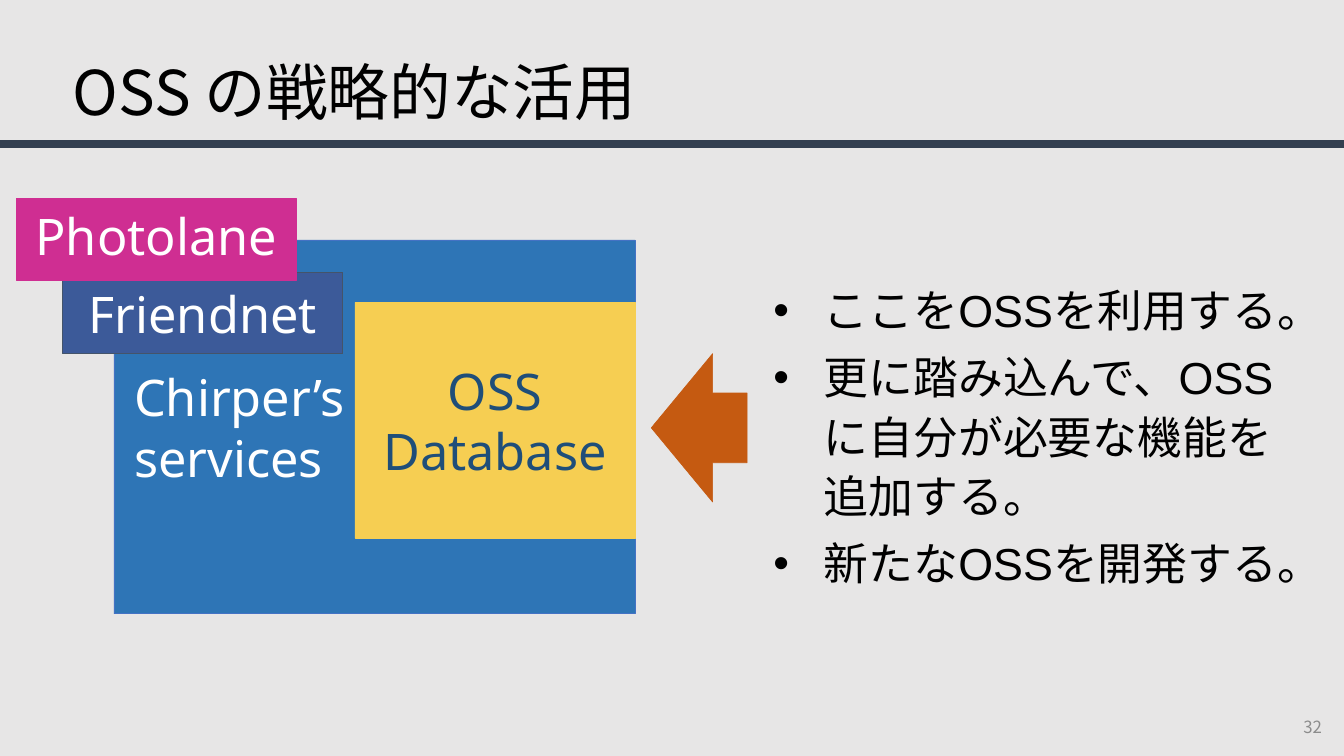
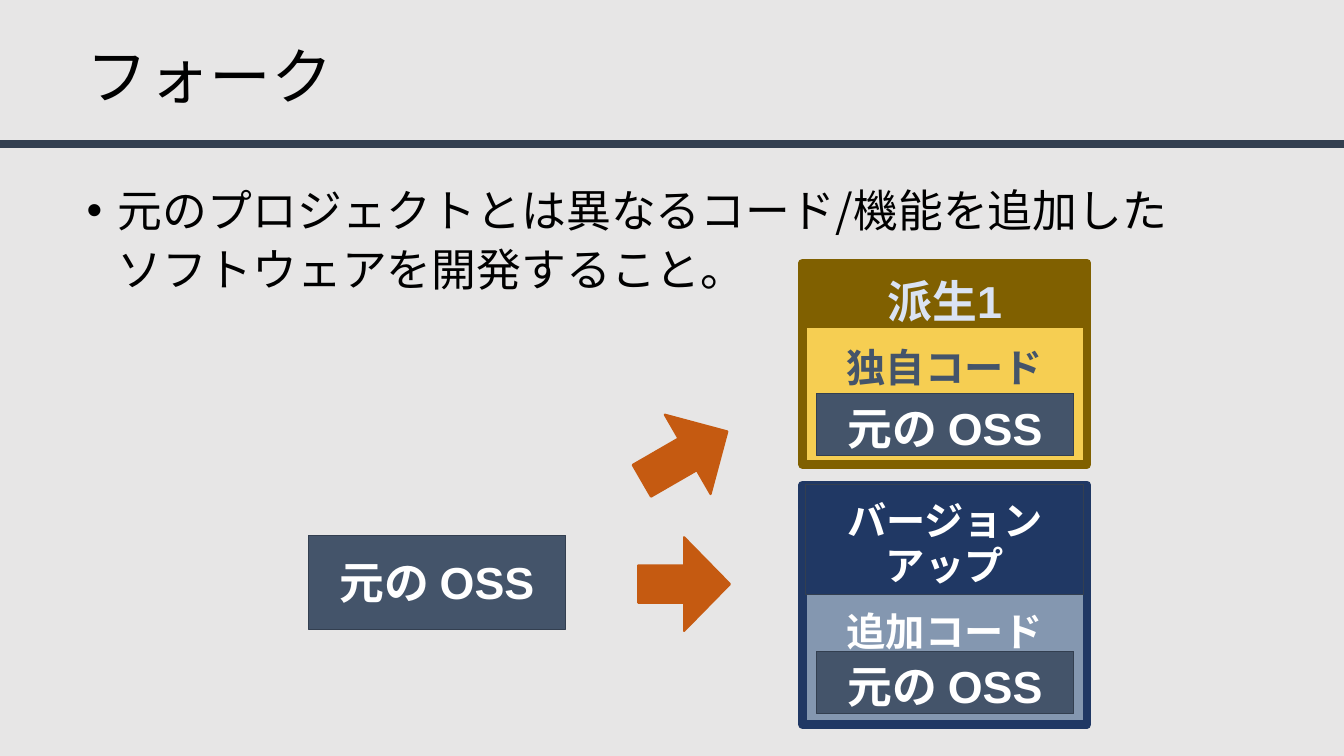
from dataclasses import dataclass
from typing import Any

from lxml import etree
from pptx import Presentation
from pptx.dml.color import RGBColor
from pptx.enum.shapes import MSO_CONNECTOR, MSO_SHAPE
from pptx.enum.text import MSO_ANCHOR, MSO_AUTO_SIZE, PP_ALIGN
from pptx.oxml.ns import qn
from pptx.util import Inches, Pt

RECTANGLE = MSO_SHAPE.RECTANGLE
LEFT_ARROW = MSO_SHAPE.LEFT_ARROW
RIGHT_ARROW = MSO_SHAPE.RIGHT_ARROW
STRAIGHT = MSO_CONNECTOR.STRAIGHT
TOP, MIDDLE = MSO_ANCHOR.TOP, MSO_ANCHOR.MIDDLE
LEFT, CENTER, RIGHT = PP_ALIGN.LEFT, PP_ALIGN.CENTER, PP_ALIGN.RIGHT
NO_AUTOFIT = MSO_AUTO_SIZE.NONE

BACKGROUND = RGBColor(0xE7, 0xE6, 0xE6)
RULE_NAVY = RGBColor(0x33, 0x3F, 0x50)
BLACK = RGBColor(0x00, 0x00, 0x00)
WHITE = RGBColor(0xFF, 0xFF, 0xFF)
PAGE_GRAY = RGBColor(0x8C, 0x8C, 0x8C)
SERVICE_BLUE = RGBColor(0x2E, 0x75, 0xB6)
SERVICE_EDGE = RGBColor(0x44, 0x72, 0xC4)
YELLOW = RGBColor(0xF6, 0xCE, 0x52)
DATABASE_BLUE = RGBColor(0x1F, 0x4E, 0x79)
ORANGE = RGBColor(0xC5, 0x5A, 0x11)
SOCIAL_BLUE = RGBColor(0x3C, 0x5A, 0x99)
PHOTO_PINK = RGBColor(0xCF, 0x2E, 0x92)
SLATE = RGBColor(0x44, 0x54, 0x6A)
DERIVED_BROWN = RGBColor(0x80, 0x60, 0x00)
DERIVED_TEXT = RGBColor(0xDA, 0xE3, 0xF3)
UPGRADE_GRAY = RGBColor(0x84, 0x97, 0xB0)
UPGRADE_NAVY = RGBColor(0x20, 0x38, 0x64)

ARIAL = "Arial"
NOTO = "Noto Sans"
NOTO_JP = "Noto Sans CJK JP"

Frame = tuple[float, float, float, float]


@dataclass(frozen=True)
class TextStyle:
    size: float
    color: RGBColor
    font: str = NOTO_JP
    bold: bool = False
    align: PP_ALIGN = LEFT
    anchor: MSO_ANCHOR = MIDDLE
    insets: Frame = (0.1, 0.05, 0.1, 0.05)
    line_spacing: Any = 1.0
    space_after: float = 0
    hanging: float = 0


@dataclass(frozen=True)
class Block:
    at: Frame
    fill: RGBColor
    edge: RGBColor
    edge_width: float = 0.5
    text: str = ""
    style: TextStyle | None = None
    kind: MSO_SHAPE = RECTANGLE
    adjustments: tuple[float, ...] = ()
    rotation: float = 0


TITLE = TextStyle(44, BLACK, line_spacing=1.1)
PAGE_NUMBER = TextStyle(12, PAGE_GRAY, align=RIGHT)
SERVICE_NAME = TextStyle(36, WHITE, NOTO, align=CENTER)
ORIGINAL_INSETS = (0.1, 0.12, 0.1, 0.05)
HEADER_INSETS = (0.1, 0.2, 0.1, 0.12)


def bold_label(size: float, color: RGBColor, insets: Frame, line_spacing: Any = 1.0) -> TextStyle:
    return TextStyle(size, color, ARIAL, True, CENTER, insets=insets, line_spacing=line_spacing)


def apply_format(target: Any, values: dict[str, Any]) -> None:
    for name, value in values.items():
        setattr(target, name, value)


def inches(frame: Frame) -> list[int]:
    return [Inches(length) for length in frame]


def write_text(frame: Any, text: str, style: TextStyle) -> None:
    margins = ("margin_left", "margin_top", "margin_right", "margin_bottom")
    apply_format(frame, {
        "text": text,
        "word_wrap": True,
        "auto_size": NO_AUTOFIT,
        "vertical_anchor": style.anchor,
        **dict(zip(margins, inches(style.insets))),
    })
    for paragraph in frame.paragraphs:
        apply_format(paragraph, {
            "alignment": style.align,
            "line_spacing": style.line_spacing,
            "space_before": Pt(0),
            "space_after": Pt(style.space_after),
        })
        if style.hanging:
            properties = paragraph._p.get_or_add_pPr()
            properties.set("marL", str(Inches(style.hanging)))
            properties.set("indent", str(-Inches(style.hanging)))
        for run in paragraph.runs:
            apply_format(run.font, {"name": style.font, "size": Pt(style.size), "bold": style.bold})
            run.font.color.rgb = style.color
            east_asian = etree.SubElement(run._r.get_or_add_rPr(), qn("a:ea"))
            east_asian.set("typeface", NOTO_JP)


def fill_placeholder(holder: Any, at: Frame, text: str, style: TextStyle) -> None:
    apply_format(holder, dict(zip(("left", "top", "width", "height"), inches(at))))
    write_text(holder.text_frame, text, style)


def draw_block(shapes: Any, block: Block) -> None:
    shape = shapes.add_shape(block.kind, *inches(block.at))
    shape.shadow.inherit = False
    shape.rotation = block.rotation
    shape.fill.solid()
    shape.fill.fore_color.rgb = block.fill
    shape.line.color.rgb = block.edge
    shape.line.width = Pt(block.edge_width)
    for index, value in enumerate(block.adjustments):
        shape.adjustments[index] = value
    if block.style:
        write_text(shape.text_frame, block.text, block.style)


def original_oss(left: float, top: float, height: float = 0.62,
                 insets: Frame = ORIGINAL_INSETS) -> Block:
    return Block((left, top, 2.55, height), SLATE, RULE_NAVY, text="元の OSS",
                 style=bold_label(32, WHITE, insets))


def add_slide(deck: Any, title: str, title_at: Frame, body: str, body_at: Frame,
              body_style: TextStyle) -> Any:
    slide = deck.slides.add_slide(deck.slide_layouts[1])
    fill_placeholder(slide.shapes.title, title_at, title, TITLE)
    fill_placeholder(slide.placeholders[1], body_at, body, body_style)
    rule = slide.shapes.add_connector(STRAIGHT, 0, Inches(1.43), deck.slide_width, Inches(1.43))
    rule.line.color.rgb = RULE_NAVY
    rule.line.width = Pt(6)
    etree.SubElement(rule._element.spPr, qn("a:effectLst"))
    return slide


def build_strategy(deck: Any) -> None:
    uses = "ここをOSSを利用する。\n更に踏み込んで、OSSに自分が必要な機能を追加する。\n新たなOSSを開発する。"
    slide = add_slide(
        deck, "OSS の戦略的な活用", (0.62, 0.34, 11.5, 1.04), uses, (7.57, 2.7, 5.5, 3.23),
        TextStyle(32, BLACK, ARIAL, anchor=TOP, line_spacing=1.1, space_after=6, hanging=0.5))
    blocks = (
        Block((1.13, 2.38, 5.17, 3.71), SERVICE_BLUE, SERVICE_EDGE, text="Chirper’s \vservices",
              style=TextStyle(36, WHITE, NOTO, insets=(0.2, 0.05, 0.1, 0.05))),
        Block((3.52, 3, 2.78, 2.34), YELLOW, YELLOW, text="OSS\nDatabase",
              style=TextStyle(36, DATABASE_BLUE, NOTO, align=CENTER)),
        Block((6.46, 3.51, 0.95, 1.47), ORANGE, ORANGE, kind=LEFT_ARROW,
              adjustments=(0.47, 0.64)),
        Block((0.62, 2.7, 2.78, 0.81), SOCIAL_BLUE, SLATE, text="Friendnet", style=SERVICE_NAME),
        Block((0.16, 1.97, 2.78, 0.81), PHOTO_PINK, PHOTO_PINK, text="Photolane",
              style=TextStyle(36, WHITE, NOTO, align=CENTER, insets=(0.1, 0.12, 0.1, 0.2))),
    )
    for block in blocks:
        draw_block(slide.shapes, block)
    page = slide.shapes.add_textbox(*inches((12.19, 7.01, 1.02, 0.4)))
    write_text(page.text_frame, "32", PAGE_NUMBER)


def build_fork(deck: Any) -> None:
    slide = add_slide(
        deck, "フォーク", (0.76, 0.19, 11.5, 1.04),
        "元のプロジェクトとは異なるコード/機能を追加したソフトウェアを開発すること。",
        (0.76, 1.71, 11.16, 1.58),
        TextStyle(32, BLACK, anchor=TOP, line_spacing=1.1, hanging=0.31))
    derived = (
        Block((7.96, 2.61, 2.82, 2), YELLOW, DERIVED_BROWN, 6, "独自コード",
              bold_label(28, SLATE, (0.1, 0.1, 0.1, 0.05))),
        Block((7.96, 2.63, 2.82, 0.62), DERIVED_BROWN, DERIVED_BROWN, text="派生1",
              style=bold_label(32, DERIVED_TEXT, HEADER_INSETS)),
    )
    upgrade = (
        Block((7.96, 4.81, 2.82, 2.38), UPGRADE_GRAY, UPGRADE_NAVY, 6, "追加コード",
              bold_label(28, WHITE, (0.1, 0.57, 0.1, 0.05))),
        Block((7.99, 4.81, 2.76, 1.09), UPGRADE_NAVY, RULE_NAVY, text="バージョンアップ",
              style=bold_label(28, WHITE, HEADER_INSETS, Pt(32))),
    )
    for panel in (derived, upgrade):
        group = slide.shapes.add_group_shape()
        for block in panel:
            draw_block(group.shapes, block)
    arrow_shape = {"kind": RIGHT_ARROW, "adjustments": (0.4, 0.5)}
    blocks = (
        original_oss(8.1, 6.46),
        original_oss(8.1, 3.9),
        original_oss(3.06, 5.31, 0.93, (0.1, 0.2, 0.1, 0.2)),
        Block((6.33, 5.33, 0.91, 0.93), ORANGE, ORANGE, 1.5, **arrow_shape),
        Block((6.3, 4.07, 0.98, 0.91), ORANGE, ORANGE, 1.5, rotation=330, **arrow_shape),
    )
    for block in blocks:
        draw_block(slide.shapes, block)


def main() -> None:
    deck = Presentation()
    apply_format(deck, {"slide_width": Inches(13.33), "slide_height": Inches(7.5)})
    backdrop = deck.slide_master.background.fill
    backdrop.solid()
    backdrop.fore_color.rgb = BACKGROUND
    build_strategy(deck)
    build_fork(deck)
    deck.save("out.pptx")


if __name__ == "__main__":
    main()
